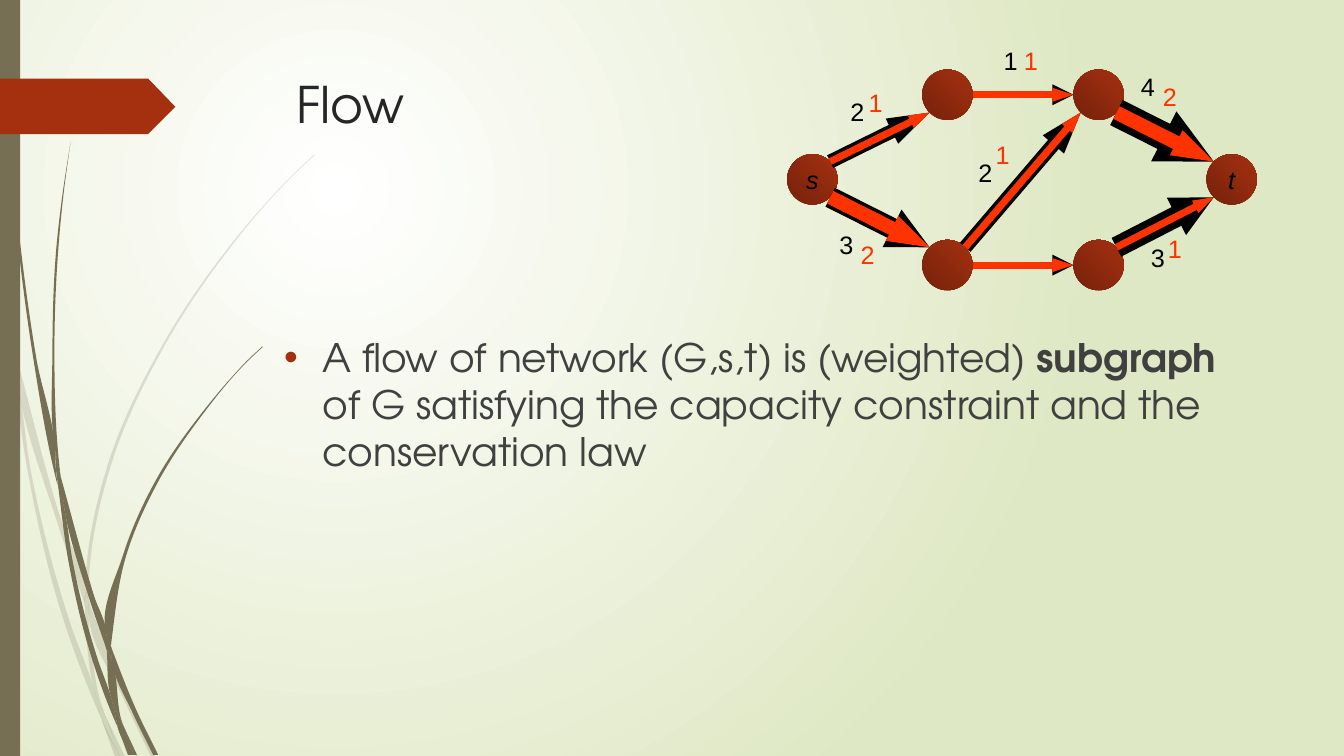
from math import sqrt

from lxml import etree
from pptx import Presentation
from pptx.dml.color import RGBColor
from pptx.enum.shapes import MSO_CONNECTOR, MSO_SHAPE
from pptx.enum.text import MSO_ANCHOR, MSO_AUTO_SIZE, PP_ALIGN
from pptx.oxml.ns import qn
from pptx.util import Cm, Pt

# Content (positions in inches, line widths in points)
BLACK, ORANGE, OLIVE, RUST = "000000", "FF3300", "766F54", "A53010"
TITLE = "Flow"
BODY = [("A flow of network (G,s,t) is (weighted) ", False),
        ("subgraph", True),
        (" of G satisfying the capacity constraint and the conservation law", False)]

RADIUS = 0.25
NODES = {  # name: centre x, centre y, label
    "upper left": (9.4, 0.94, ""), "source": (8.06, 1.78, "s"),
    "upper right": (10.9, 0.94, ""), "lower left": (9.4, 2.63, ""),
    "lower right": (10.9, 2.63, ""), "sink": (12.22, 1.78, "t"),
}
EDGES = [  # from, to, capacity line width, flow line width
    ("upper left", "upper right", 5, 5),
    ("source", "upper left", 10, 5),
    ("source", "lower left", 15, 10),
    ("lower left", "upper right", 10, 5),
    ("upper right", "sink", 20, 10),
    ("lower left", "lower right", 5, 5),
    ("lower right", "sink", 15, 5),
]
CAPACITIES = [("3", 8.23, 2.23), ("1", 9.86, 0.4), ("4", 11.22, 0.66),
              ("3", 11.32, 2.36), ("2", 9.61, 1.51), ("2", 8.34, 0.91)]
FLOWS = [("2", 8.44, 2.33), ("1", 8.52, 0.82), ("1", 10.06, 0.4),
         ("1", 9.78, 1.33), ("2", 11.44, 0.76), ("1", 11.49, 2.27)]

# Outlines of the grass pieces: faint ones behind, solid ones in front
FAINT_GRASS = [
    [(0.11, 3.5), (0.09, 3.22), (0, 2.82), (0, 2.99), (0.1, 3.44)],
    [(0.58, 5.22), (0.84, 5.99), (0.85, 5.86), (0.62, 5.2), (0.14, 3.45), (0.17, 3.76)],
    [(0.92, 6.07), (0.88, 5.96), (0.88, 6.1), (1.23, 6.94), (1.5, 7.51), (1.55, 7.51), (1.27, 6.92)],
    [(1.19, 7.51), (1.24, 7.51), (1.05, 7.11)],
    [(0.93, 6.83), (0.7, 6.19), (0.31, 4.69), (0.17, 3.76), (0.11, 3.5), (0.28, 4.7), (0.65, 6.21),
     (0.92, 6.93), (1.01, 7.14), (0.99, 7.07)],
    [(0.84, 5.99), (0.87, 6.46), (0.93, 6.83), (0.96, 6.92), (1.05, 7.11), (1.03, 7.06), (0.91, 6.46),
     (0.88, 6.1), (0.88, 6.08)],
    [(0.88, 5.84), (1.1, 4.62), (1.6, 3.49), (2.29, 2.45), (2.68, 1.98), (2.9, 1.75), (3.12, 1.54),
     (3.12, 1.53), (2.89, 1.75), (2.68, 1.97), (2.28, 2.44), (1.58, 3.48), (1.07, 4.61), (0.85, 5.84),
     (0.85, 5.86), (0.88, 5.96)],
    [(1.01, 7.14), (1.14, 7.51), (1.19, 7.51)],
    [(0.88, 6.08), (0.88, 6.1), (0.88, 5.96), (0.85, 5.86), (0.84, 5.99)],
    [(0.96, 6.92), (0.93, 6.83), (0.99, 7.07), (1.01, 7.14), (1.19, 7.51), (1.05, 7.11)],
]
SOLID_GRASS = [
    [(0.07, 1.1), (0.17, 2.33), (0.33, 3.55), (0.56, 4.77), (0.57, 4.81), (0.55, 4.57), (0.55, 4.53),
     (0.36, 3.55), (0.19, 2.32), (0.08, 1.09), (0.05, 0.48), (0.04, 0), (0.03, 0), (0.04, 0.48)],
    [(0.88, 5.92), (1.06, 6.45), (1.06, 6.33), (1.06, 6.31), (0.93, 5.9), (0.6, 4.72), (0.64, 5.05)],
    [(1.13, 6.49), (1.1, 6.41), (1.11, 6.56), (1.32, 7.08), (1.52, 7.49), (1.57, 7.49), (1.36, 7.06)],
    [(1.1, 6.91), (0.98, 6.57), (0.72, 5.56), (0.64, 5.05), (0.57, 4.77), (0.68, 5.57), (0.93, 6.59),
     (1.11, 7.08), (1.17, 7.22), (1.16, 7.17)],
    [(0.6, 4.72), (0.58, 4.53), (0.54, 3.49), (0.58, 2.45), (0.63, 1.93), (0.7, 1.41), (0.62, 1.93),
     (0.56, 2.45), (0.52, 3.49), (0.55, 4.49)],
    [(1.33, 7.49), (1.36, 7.49), (1.22, 7.19)],
    [(0.57, 4.77), (0.64, 5.05), (0.6, 4.72), (0.55, 4.49), (0.55, 4.53)],
    [(1.11, 6.33), (1.25, 5.52), (1.58, 4.76), (2.05, 4.06), (2.31, 3.74), (2.45, 3.59), (2.61, 3.44),
     (2.6, 3.44), (2.45, 3.58), (2.31, 3.73), (2.04, 4.05), (1.56, 4.74), (1.22, 5.51), (1.06, 6.31),
     (1.1, 6.41)],
    [(1.17, 7.22), (1.27, 7.49), (1.31, 7.49)],
    [(1.06, 6.45), (1.1, 6.91), (1.16, 7.06), (1.22, 7.19), (1.21, 7.16), (1.11, 6.56), (1.09, 6.51)],
    [(1.06, 6.45), (1.09, 6.51), (1.11, 6.56), (1.1, 6.41), (1.06, 6.31), (1.06, 6.33)],
    [(1.16, 7.06), (1.1, 6.91), (1.16, 7.17), (1.17, 7.22), (1.3, 7.49), (1.33, 7.49), (1.22, 7.19)],
]
TAB = [(0, 0.78), (1.47, 0.78), (1.74, 1.06), (1.47, 1.33), (0, 1.33)]


# Helpers
def inch(value):
    return Cm(value * 2.54)


def color(value):
    return RGBColor.from_string(value)


def child(parent, tag, **attributes):
    return etree.SubElement(parent, qn(tag), attributes)


def set_gradient(fill, *colors):
    fill.gradient()
    for stop, position, value in zip(fill.gradient_stops, (0, 1), colors):
        stop.position = position
        stop.color.rgb = color(value)


def set_solid(shape, value):
    shape.shadow.inherit = False
    shape.fill.solid()
    shape.fill.fore_color.rgb = color(value)
    shape.line.fill.background()


def write(shape, runs, size=18, font="TeX Gyre Adventor", value=BLACK, italic=False,
          align=PP_ALIGN.LEFT, anchor=MSO_ANCHOR.TOP, wrap=True, grow=False):
    frame = shape.text_frame
    frame.word_wrap, frame.vertical_anchor = wrap, anchor
    frame.auto_size = MSO_AUTO_SIZE.SHAPE_TO_FIT_TEXT if grow else MSO_AUTO_SIZE.NONE
    paragraph = frame.paragraphs[0]
    paragraph.alignment = align
    for text, bold in runs:
        run = paragraph.add_run()
        run.text = text
        run.font.name, run.font.size = font, Pt(size)
        run.font.bold, run.font.italic = bold, italic
        run.font.color.rgb = color(value)
    return paragraph


def text_box(left, top, width, height, runs, **options):
    box = slide.shapes.add_textbox(*map(inch, (left, top, width, height)))
    return write(box, runs, **options)


def add_outline(points, value):
    corners = [(inch(x), inch(y)) for x, y in points]
    builder = slide.shapes.build_freeform(*corners[0], scale=1.0)
    builder.add_line_segments(corners[1:] + corners[:1], close=True)
    shape = builder.convert_to_shape()
    set_solid(shape, value)
    return shape


def bend(shape):
    """Turn the sides into curves that run smoothly through blunt corners."""
    points = [complex(int(p.get("x")), int(p.get("y"))) for p in shape.element.iter(qn("a:pt"))]
    chords = [b - a for a, b in zip(points, points[1:])]

    def tangent(corner, side):
        before, after = chords[corner - 1], chords[corner % len(chords)]
        a, b = abs(before), abs(after)
        if (before * after.conjugate()).real < 0.8 * a * b:
            return chords[side] / 3
        return (before / a * b + after / b * a) / (a + b) * abs(chords[side]) / 3

    for i, segment in enumerate(list(shape.element.iter(qn("a:lnTo")))):
        segment.tag = qn("a:cubicBezTo")
        controls = (points[i] + tangent(i, i), points[i + 1] - tangent(i + 1, i))
        for position, control in enumerate(controls):
            point = child(segment, "a:pt", x=str(round(control.real)), y=str(round(control.imag)))
            segment.insert(position, point)


def add_arrow(start, end, width, value, head_width, head_length):
    """Arrow between the rims of two nodes, level or at their diagonals."""
    (x1, y1, _), (x2, y2, _) = NODES[start], NODES[end]
    side = (y2 > y1) - (y2 < y1)
    dx = RADIUS / sqrt(2) if side else RADIUS
    ends = (x1 + dx, y1 + side * dx, x2 - dx, y2 - side * dx)
    arrow = slide.shapes.add_connector(MSO_CONNECTOR.STRAIGHT, *map(inch, ends))
    arrow.line.width = Pt(width)
    arrow.line.color.rgb = color(value)
    line = arrow.element.spPr.find(qn("a:ln"))
    child(line, "a:tailEnd", type="triangle", w=head_width, len=head_length)
    child(arrow.element.spPr, "a:effectLst")


def add_numbers(numbers, value):
    for number, left, top in numbers:
        text_box(left, top, 0.34, 0.4, [(number, False)], font="Arial",
                 value=value, wrap=False, grow=True)


presentation = Presentation()
presentation.slide_width, presentation.slide_height = Cm(33.87), Cm(19.05)
slide = presentation.slides.add_slide(presentation.slide_layouts[6])

# Background: round glow centred in the upper left
set_gradient(slide.background.fill, "FFFFFF", "DFE8C4")
linear = slide.element.find(".//" + qn("a:lin"))
glow = child(linear.getparent(), "a:path", path="circle")
child(glow, "a:fillToRect", l="50000", t="50000", r="100000", b="100000")
linear.getparent().remove(linear)

# Grass, side bar and tab
for outline in FAINT_GRASS + SOLID_GRASS:
    piece = add_outline(outline, OLIVE)
    bend(piece)
    if outline in FAINT_GRASS:
        child(piece.element.spPr.find(".//" + qn("a:srgbClr")), "a:alpha", val="20000")
bar = slide.shapes.add_shape(MSO_SHAPE.RECTANGLE, 0, 0, inch(0.2), inch(7.5))
set_solid(bar, OLIVE)
add_outline(TAB, RUST)

# Title and body
text_box(2.84, 0.68, 9.75, 1.4, [(TITLE, False)], size=36, value="262626")
bullet = text_box(2.72, 3.26, 9.75, 4.13, BODY, size=28, value="404040")
bullet.space_before = Pt(10)
properties = bullet._p.get_or_add_pPr()
properties.set("marL", str(inch(0.38)))
properties.set("indent", str(-inch(0.38)))
child(child(properties, "a:buClr"), "a:srgbClr", val=RUST)
child(properties, "a:buFont", typeface="Arial")
child(properties, "a:buChar", char="•")

# Network nodes
for x, y, label in NODES.values():
    box = (x - RADIUS, y - RADIUS, 2 * RADIUS, 2 * RADIUS)
    node = slide.shapes.add_shape(MSO_SHAPE.OVAL, *map(inch, box))
    set_solid(node, RUST)
    set_gradient(node.fill, "76220B", RUST)
    node.fill.gradient_angle = 45
    if label:
        write(node, [(label, False)], font="Arial", italic=True,
              align=PP_ALIGN.CENTER, anchor=MSO_ANCHOR.MIDDLE, wrap=False)

# Capacities in black, then the flow on top
for start, end, capacity, _ in EDGES:
    add_arrow(start, end, capacity, BLACK,
              "sm" if capacity > 5 else "med", "sm" if capacity > 10 else "med")
add_numbers(CAPACITIES, BLACK)
for start, end, _, flow in EDGES:
    add_arrow(start, end, flow, ORANGE, "sm", "med")
add_numbers(FLOWS, ORANGE)

presentation.save("out.pptx")
